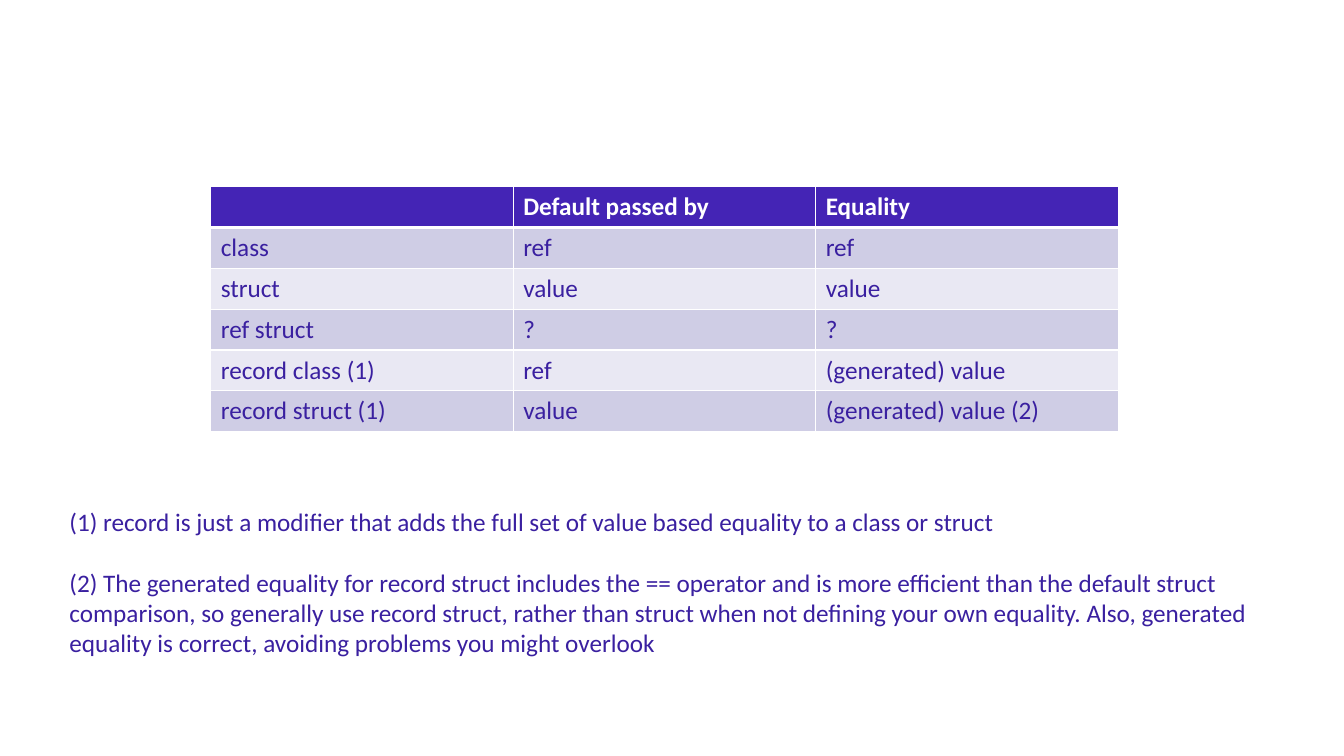
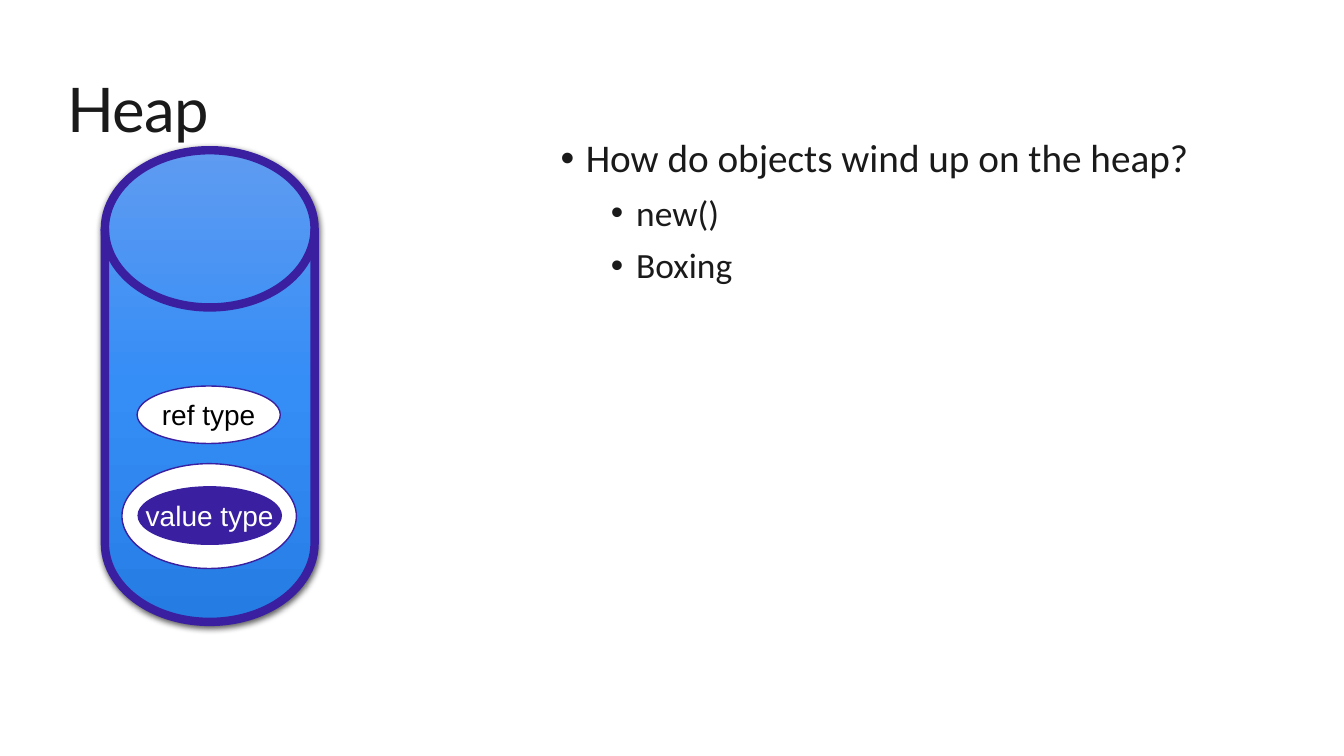
from pptx import Presentation
from pptx.dml.color import RGBColor
from pptx.enum.shapes import MSO_SHAPE
from pptx.enum.text import MSO_ANCHOR, PP_ALIGN
from pptx.oxml import parse_xml
from pptx.oxml.ns import nsdecls, qn
from pptx.util import Inches, Pt

INDIGO, HEADER, WHITE, INK, BLACK = "3A20A0", "4424B5", "FFFFFF", "1A1A1A", "000000"
BANDS = ("E9E8F3", "CFCDE5")
HEAP_BLUES = ((0, "5E9BF1"), (50, "358DF6"), (100, "257DE4"))
BODY_FONT, TITLE_FONT, LABEL_FONT = "Calibri", "Lato", "Arial"
TITLE_ONLY, BLANK = 5, 6


def rgb(color):
    return RGBColor.from_string(color)


def xml(tag, attributes="", inner=""):
    return parse_xml(f"<a:{tag} {nsdecls('a')} {attributes}>{inner}</a:{tag}>")


class Deck:
    """Holds the presentation, its style and the slide being filled."""

    def __init__(self):
        self.presentation = Presentation()
        self.presentation.slide_width = Inches(13.33)
        self.presentation.slide_height = Inches(7.5)
        self.slide = None

    def add_slide(self, title=None):
        layout = TITLE_ONLY if title else BLANK
        self.slide = self.presentation.slides.add_slide(
            self.presentation.slide_layouts[layout])
        if title:
            self.set_title(title)

    def set_title(self, title):
        heading = self.slide.shapes.title
        heading.left, heading.top = Inches(0.67), Inches(0.67)
        heading.width, heading.height = Inches(12), Inches(0.9)
        frame = self.clear_margins(heading.text_frame)
        frame.vertical_anchor = MSO_ANCHOR.MIDDLE
        paragraph = frame.paragraphs[0]
        paragraph.alignment, paragraph.line_spacing = PP_ALIGN.LEFT, 0.9
        run = self.add_run(paragraph, title, 44, INK, TITLE_FONT)
        run.font._element.set("spc", "-50")

    @staticmethod
    def clear_margins(frame):
        frame.margin_left = frame.margin_right = 0
        frame.margin_top = frame.margin_bottom = 0
        return frame

    @staticmethod
    def add_run(paragraph, text, size, color, font=BODY_FONT, bold=False):
        run = paragraph.add_run()
        run.text = text
        run.font.size, run.font.name, run.font.bold = Pt(size), font, bold
        run.font.color.rgb = rgb(color)
        return run

    def add_text_box(self, left, top, width, height):
        box = self.slide.shapes.add_textbox(
            Inches(left), Inches(top), Inches(width), Inches(height))
        box.text_frame.word_wrap = True
        return box.text_frame

    @staticmethod
    def paragraphs(frame, count, gap):
        """Yield count paragraphs, with the gap in points before all but the first."""
        for index in range(count):
            paragraph = frame.add_paragraph() if index else frame.paragraphs[0]
            if index:
                paragraph.space_before = Pt(gap)
            yield paragraph

    def add_notes(self, notes, left, top, width, height):
        frame = self.add_text_box(left, top, width, height)
        for paragraph, note in zip(self.paragraphs(frame, len(notes), 22), notes):
            self.add_run(paragraph, note, 18, INDIGO)

    def add_bullets(self, items, left, top, width, height):
        """Add (level, text) items."""
        frame = self.clear_margins(self.add_text_box(left, top, width, height))
        for paragraph, (level, text) in zip(self.paragraphs(frame, len(items), 10), items):
            paragraph.level, paragraph.line_spacing = level, 0.9
            properties = paragraph._p.get_or_add_pPr()
            properties.set("marL", str(Inches(0.25 + 0.5 * level)))
            properties.set("indent", str(Inches(-0.25)))
            properties.append(xml("buFont", 'typeface="Arial"'))
            properties.append(xml("buChar", 'char="•"'))
            self.add_run(paragraph, text, 25.3 if level else 28, INK)

    def add_table(self, rows, left, top, width, height):
        table = self.slide.shapes.add_table(
            len(rows), len(rows[0]), Inches(left), Inches(top),
            Inches(width), Inches(height)).table
        for row, texts in enumerate(rows):
            is_header = row == 0
            for column, text in enumerate(texts):
                cell = table.cell(row, column)
                self.set_borders(cell, top=3 if row == 1 else 1, bottom=3 if is_header else 1)
                cell.fill.solid()
                cell.fill.fore_color.rgb = rgb(HEADER if is_header else BANDS[row % 2])
                if text:
                    self.add_run(cell.text_frame.paragraphs[0], text, 18,
                                 WHITE if is_header else INDIGO, bold=is_header)

    @staticmethod
    def set_borders(cell, top, bottom):
        properties = cell._tc.get_or_add_tcPr()
        for side, points in (("L", 1), ("R", 1), ("T", top), ("B", bottom)):
            properties.append(xml(
                f"ln{side}", f'w="{Pt(points)}"',
                f'<a:solidFill><a:srgbClr val="{WHITE}"/></a:solidFill>'))

    def add_outlined(self, preset, left, top, width, height, fill, line_width=1):
        shape = self.slide.shapes.add_shape(
            preset, Inches(left), Inches(top), Inches(width), Inches(height))
        shape.fill.solid()
        shape.fill.fore_color.rgb = rgb(fill)
        shape.line.color.rgb, shape.line.width = rgb(INDIGO), Pt(line_width)
        shape.shadow.inherit = False
        return shape

    def add_oval(self, left, top, width, height, fill, label=None, color=BLACK):
        oval = self.add_outlined(MSO_SHAPE.OVAL, left, top, width, height, fill)
        if label:
            frame = oval.text_frame
            frame.word_wrap, frame.vertical_anchor = False, MSO_ANCHOR.MIDDLE
            frame.paragraphs[0].alignment = PP_ALIGN.CENTER
            self.add_run(frame.paragraphs[0], label, 20, color, LABEL_FONT)

    def add_cylinder(self, left, top, width, height, stops):
        """Add a disk with a vertical gradient of (percent, colour) stops and a soft shadow."""
        cylinder = self.add_outlined(MSO_SHAPE.FLOWCHART_MAGNETIC_DISK,
                                     left, top, width, height, stops[0][1], 6)
        cylinder.fill.gradient()
        cylinder.fill.gradient_angle = 270
        properties = cylinder._element.spPr
        stop_list = properties.find(f".//{qn('a:gsLst')}")
        for stop in list(stop_list):
            stop_list.remove(stop)
        for percent, color in stops:
            stop_list.append(xml("gs", f'pos="{percent * 1000}"',
                                 f'<a:srgbClr val="{color}"/>'))
        properties.find(qn("a:effectLst")).append(xml(
            "outerShdw",
            f'blurRad="{Pt(4.5)}" dist="{Pt(1.5)}" dir="5400000" rotWithShape="0"',
            f'<a:srgbClr val="{BLACK}"><a:alpha val="63000"/></a:srgbClr>'))


def add_equality_slide(deck):
    deck.add_slide()
    deck.add_table([
        ("", "Default passed by", "Equality"),
        ("class", "ref", "ref"),
        ("struct", "value", "value"),
        ("ref struct", "?", "?"),
        ("record class (1)", "ref", "(generated) value"),
        ("record struct (1)", "value", "(generated) value (2)"),
    ], 2.09, 1.85, 9, 2.43)
    deck.add_notes([
        "(1) record is just a modifier that adds the full set of value based equality "
        "to a class or struct",
        "(2) The generated equality for record struct includes the == operator and is "
        "more efficient than the default struct comparison, so generally use record "
        "struct, rather than struct when not defining your own equality. Also, "
        "generated equality is correct, avoiding problems you might overlook",
    ], 0.59, 4.97, 12, 1.62)


def add_heap_slide(deck):
    deck.add_slide("Heap")
    deck.add_cylinder(1.04, 1.49, 2.08, 4.68, HEAP_BLUES)
    deck.add_oval(1.21, 4.6, 1.73, 1.04, WHITE)
    deck.add_bullets([
        (0, "How do objects wind up on the heap?"),
        (1, "new()"),
        (1, "Boxing"),
    ], 5.56, 1.38, 6.85, 4.76)
    deck.add_oval(1.36, 3.83, 1.42, 0.57, WHITE, "ref type")
    deck.add_oval(1.37, 4.83, 1.42, 0.57, INDIGO, "value type", WHITE)


def main():
    deck = Deck()
    add_equality_slide(deck)
    add_heap_slide(deck)
    deck.presentation.save("out.pptx")


if __name__ == "__main__":
    main()
